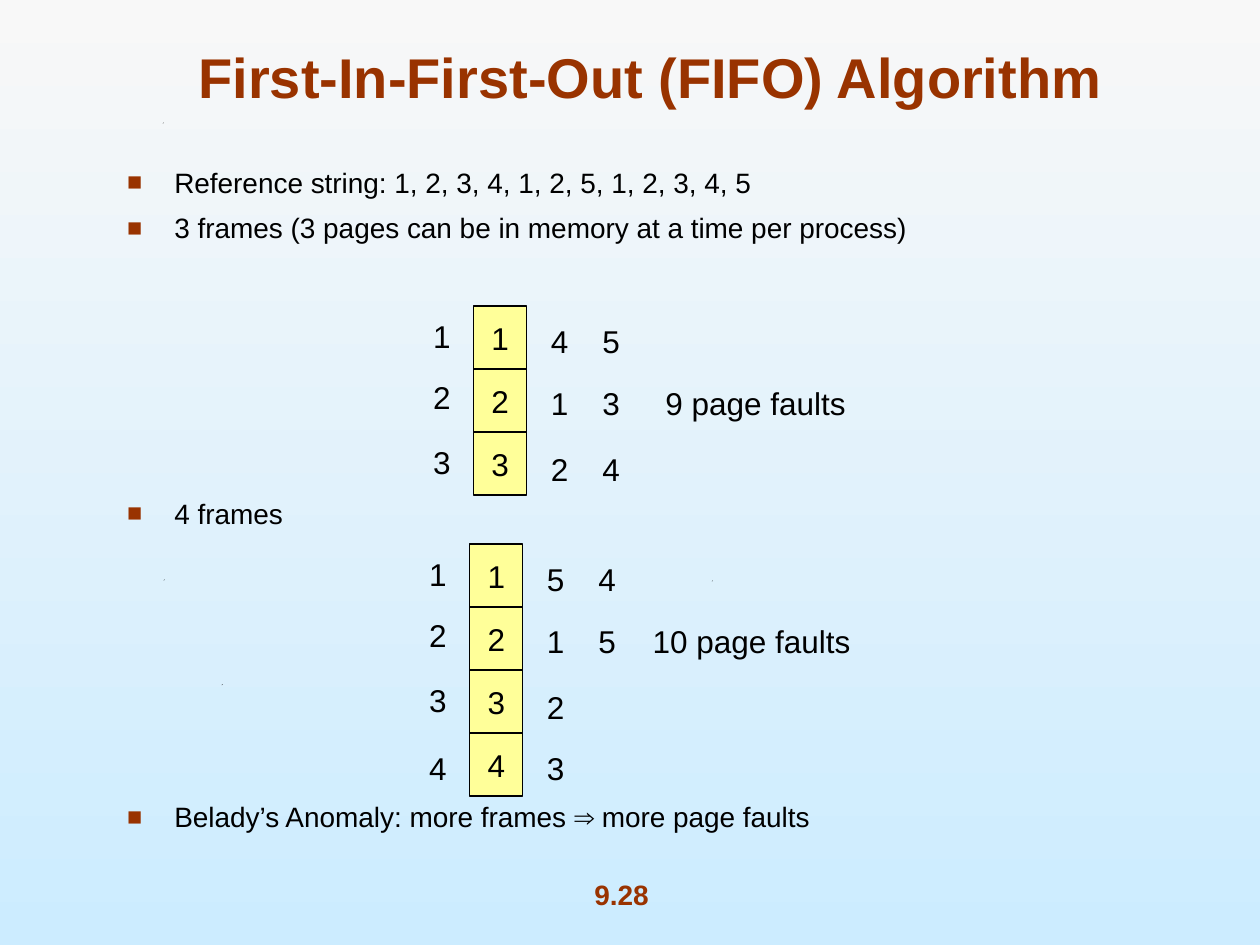
from dataclasses import dataclass

from lxml import etree
from pptx import Presentation
from pptx.dml.color import RGBColor
from pptx.enum.shapes import MSO_SHAPE
from pptx.enum.text import MSO_ANCHOR, MSO_AUTO_SIZE, PP_ALIGN
from pptx.oxml.ns import qn
from pptx.util import Cm, Pt

RECTANGLE = MSO_SHAPE.RECTANGLE
MIDDLE, TOP, BOTTOM = MSO_ANCHOR.MIDDLE, MSO_ANCHOR.TOP, MSO_ANCHOR.BOTTOM
CENTER, LEFT = PP_ALIGN.CENTER, PP_ALIGN.LEFT
NO_AUTOFIT = MSO_AUTO_SIZE.NONE


@dataclass(frozen=True)
class Theme:
    font: str = "Arial"
    accent: str = "993300"
    text: str = "000000"
    frame: str = "FFFF99"
    sky_top: str = "F8F8F8"
    sky_bottom: str = "CCECFF"
    title_size: int = 32
    body_size: int = 16
    label_size: int = 18


THEME = Theme()

TITLE = "First-In-First-Out (FIFO) Algorithm"
PAGE_NUMBER = "9.28"
# Text and the space before it in points, which leaves room for the diagrams
BULLETS = [
    ("Reference string: 1, 2, 3, 4, 1, 2, 5, 1, 2, 3, 4, 5", 0),
    ("3 frames (3 pages can be in memory at a time per process)", 7),
    ("4 frames", 144),
    ("Belady’s Anomaly: more frames ⇒ more page faults", 154),
]
# Positions in cm; each history column lists the pages loaded later, by frame
DIAGRAMS = [
    dict(left=9.55, top=6.17, frames="123", history=["412", "534"],
         result="9 page faults", result_left=13.16, result_width=4.14),
    dict(left=9.47, top=10.97, frames="1234", history=["5123", "45"],
         result="10 page faults", result_left=12.9, result_width=4.5),
]
FRAME_WIDTH, FRAME_HEIGHT = 1.07, 1.27
LABEL_WIDTH, LABEL_HEIGHT = 0.86, 1.02
NUMBER_OFFSET = -1.07
HISTORY_OFFSETS = [1.3, 2.34]
NUMBER_ROWS = [0.1, 1.32, 2.64, 4.01]
HISTORY_ROWS = [0.2, 1.45, 2.77, 4.01]
RESULT_ROW = 1
SPECKS = [(4.47, 13.79), (3.3, 11.68), (14.35, 11.7), (3.28, 2.47)]
SPECK_SIZE = 0.02


def color(value):
    return RGBColor.from_string(value)


def place(shape, left, top, width, height):
    shape.left, shape.top = Cm(left), Cm(top)
    shape.width, shape.height = Cm(width), Cm(height)


def format_paragraph(paragraph, size, text_color=THEME.text, bold=False, align=CENTER):
    paragraph.alignment = align
    for run in paragraph.runs:
        run.font.name = THEME.font
        run.font.size = Pt(size)
        run.font.bold = bold
        run.font.color.rgb = color(text_color)


def add_bullet(paragraph):
    properties = paragraph._p.get_or_add_pPr()
    properties.set("marL", str(Cm(0.95)))
    properties.set("indent", str(Cm(-0.95)))
    bullet_color = etree.SubElement(properties, qn("a:buClr"))
    etree.SubElement(bullet_color, qn("a:srgbClr"), val=THEME.accent)
    etree.SubElement(properties, qn("a:buSzPct"), val="90000")
    etree.SubElement(properties, qn("a:buFont"), typeface=THEME.font)
    etree.SubElement(properties, qn("a:buChar"), char="■")


def fill_background(slide):
    fill = slide.background.fill
    fill.gradient()
    fill.gradient_angle = 270
    for stop, position, value in zip(fill.gradient_stops, (0, 1),
                                     (THEME.sky_top, THEME.sky_bottom)):
        stop.position = position
        stop.color.rgb = color(value)


def add_title(slide):
    title = slide.shapes.title
    place(title, 1.9, 0.64, 22.43, 1.7)
    frame = title.text_frame
    frame.text = TITLE
    frame.auto_size = NO_AUTOFIT
    frame.vertical_anchor = BOTTOM
    format_paragraph(frame.paragraphs[0], THEME.title_size, THEME.accent, bold=True)


def add_body(slide):
    body = slide.placeholders[1]
    place(body, 2.31, 3.2, 19.53, 16)
    frame = body.text_frame
    frame.text = "\n".join(text for text, _ in BULLETS)
    frame.auto_size = NO_AUTOFIT
    frame.vertical_anchor = TOP
    for paragraph, (_, space) in zip(frame.paragraphs, BULLETS):
        paragraph.space_before = Pt(space)
        add_bullet(paragraph)
        format_paragraph(paragraph, THEME.body_size, align=LEFT)


def add_label(slide, text, left, top, width=LABEL_WIDTH, height=LABEL_HEIGHT,
              size=THEME.label_size, text_color=THEME.text, bold=False):
    label = slide.shapes.add_textbox(Cm(left), Cm(top), Cm(width), Cm(height))
    frame = label.text_frame
    frame.text = text
    frame.word_wrap = False
    frame.vertical_anchor = MIDDLE
    format_paragraph(frame.paragraphs[0], size, text_color, bold)


def add_frame(slide, page, left, top):
    """Draw one memory frame holding its first page."""
    box = slide.shapes.add_shape(RECTANGLE, Cm(left), Cm(top),
                                 Cm(FRAME_WIDTH), Cm(FRAME_HEIGHT))
    box.shadow.inherit = False
    box.fill.solid()
    box.fill.fore_color.rgb = color(THEME.frame)
    box.line.color.rgb = color(THEME.text)
    box.line.width = Pt(0.75)
    box.text_frame.text = page
    box.text_frame.word_wrap = False
    box.text_frame.vertical_anchor = MIDDLE
    format_paragraph(box.text_frame.paragraphs[0], THEME.label_size)


def add_diagram(slide, diagram):
    left, top = diagram["left"], diagram["top"]
    for row, page in enumerate(diagram["frames"]):
        add_frame(slide, page, left, top + row * FRAME_HEIGHT)
        add_label(slide, page, left + NUMBER_OFFSET, top + NUMBER_ROWS[row])
    for offset, pages in zip(HISTORY_OFFSETS, diagram["history"]):
        for page, row_top in zip(pages, HISTORY_ROWS):
            add_label(slide, page, left + offset, top + row_top)
    add_label(slide, diagram["result"], diagram["result_left"],
              top + HISTORY_ROWS[RESULT_ROW], diagram["result_width"])


def add_speck(slide, left, top):
    x, y, size = Cm(left), Cm(top), Cm(SPECK_SIZE)
    builder = slide.shapes.build_freeform(x, y + size)
    builder.add_line_segments([(x + size, y), (x + size // 2, y + size)], close=True)
    speck = builder.convert_to_shape()
    speck.shadow.inherit = False
    speck.fill.solid()
    speck.fill.fore_color.rgb = color(THEME.text)
    speck.line.fill.background()


def main():
    presentation = Presentation()
    presentation.slide_width, presentation.slide_height = Cm(25.4), Cm(19.05)
    slide = presentation.slides.add_slide(presentation.slide_layouts[1])
    fill_background(slide)
    for left, top in SPECKS:
        add_speck(slide, left, top)
    add_title(slide)
    add_body(slide)
    for diagram in DIAGRAMS:
        add_diagram(slide, diagram)
    add_label(slide, PAGE_NUMBER, 10.69, 17.55, 3.68, 0.94,
              THEME.body_size, THEME.accent, bold=True)
    presentation.save("out.pptx")


if __name__ == "__main__":
    main()
